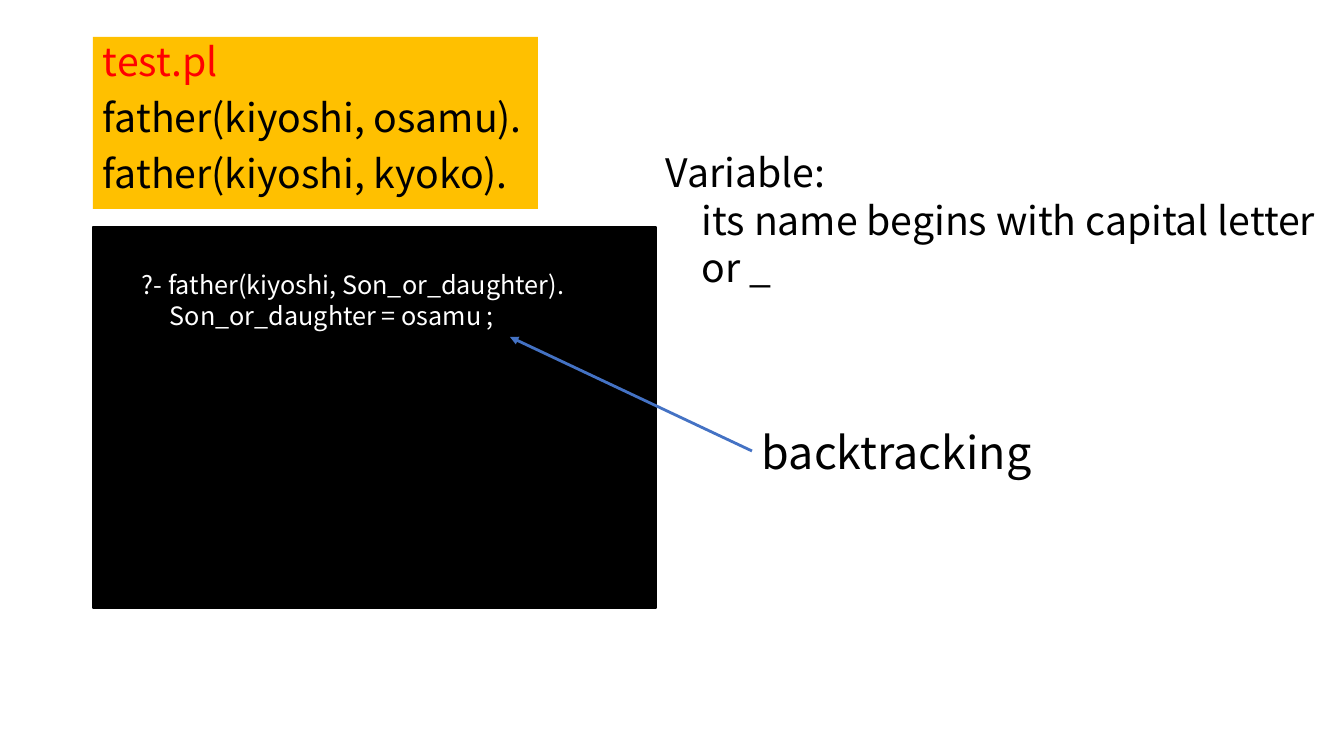
from lxml import etree
from pptx import Presentation
from pptx.dml.color import RGBColor
from pptx.enum.shapes import MSO_CONNECTOR, MSO_SHAPE
from pptx.enum.text import MSO_ANCHOR, PP_ALIGN
from pptx.oxml.ns import qn
from pptx.util import Emu, Pt

PX = 914400 / 100.8
FONT = "Noto Sans CJK JP"
COLORS = {
    "black": "000000",
    "white": "FFFFFF",
    "red": "FF0000",
    "amber": "FFC000",
    "blue": "4472C4",
}


def px(n):
    return Emu(round(n * PX))


def rgb(name):
    return RGBColor.from_string(COLORS[name])


class SlideBuilder:
    def __init__(self, slide):
        self.slide = slide

    def rect(self, x, y, w, h, fill):
        sp = self.slide.shapes.add_shape(
            MSO_SHAPE.RECTANGLE, px(x), px(y), px(w), px(h))
        sp.shadow.inherit = False
        sp.fill.solid()
        sp.fill.fore_color.rgb = rgb(fill)
        sp.line.fill.background()
        return sp

    def set_lines(self, sp, lines, size, spacing, before=0):
        """Each line is (text, colour, indent in px)."""
        tf = sp.text_frame
        tf.word_wrap = True
        tf.vertical_anchor = MSO_ANCHOR.TOP
        for i, (text, color, indent) in enumerate(lines):
            p = tf.paragraphs[0] if i == 0 else tf.add_paragraph()
            p.text = text
            p.alignment = PP_ALIGN.LEFT
            p.line_spacing = Pt(spacing)
            p.space_before = Pt(before)
            p.font.name = FONT
            p.font.size = Pt(size)
            p.font.color.rgb = rgb(color)
            if indent:
                p._p.get_or_add_pPr().set("marL", str(px(indent)))

    def text(self, x, y, w, h, lines, size, spacing):
        sp = self.slide.shapes.add_textbox(px(x), px(y), px(w), px(h))
        self.set_lines(sp, lines, size, spacing)
        return sp

    def arrow(self, source, side, x, y, color):
        cx = self.slide.shapes.add_connector(
            MSO_CONNECTOR.STRAIGHT, 0, 0, px(x), px(y))
        cx.begin_connect(source, side)
        cx.line.color.rgb = rgb(color)
        cx.line.width = Pt(2)
        etree.SubElement(cx.line._get_or_add_ln(), qn("a:tailEnd"), type="triangle")
        etree.SubElement(cx._element.spPr, qn("a:effectLst"))
        return cx


def main():
    prs = Presentation()
    prs.slide_width, prs.slide_height = px(1344), px(756)
    s = SlideBuilder(prs.slides.add_slide(prs.slide_layouts[6]))

    # Program file
    program = s.rect(93, 37, 445, 172, "amber")
    s.set_lines(program, [
        ("test.pl", "red", 0),
        ("father(kiyoshi, osamu).", "black", 0),
        ("father(kiyoshi, kyoko).", "black", 0),
    ], size=28, spacing=30, before=10)

    # Terminal with the query
    terminal = s.rect(93, 227, 563, 381, "black")
    terminal.line.color.rgb = rgb("black")
    terminal.line.width = Pt(1)
    s.text(132, 264, 485, 102, [
        ("?- father(kiyoshi, Son_or_daughter).", "white", 0),
        ("Son_or_daughter = osamu ;", "white", 28),
    ], size=18, spacing=22)

    # Note on variables
    s.text(656, 143, 687, 152, [
        ("Variable:", "black", 0),
        ("its name begins with capital letter", "black", 36),
        ("or _", "black", 36),
    ], size=28, spacing=34)

    # Backtracking label and its arrow
    label = s.text(752, 419, 297, 64, [("backtracking", "black", 0)],
                   size=32, spacing=39)
    s.arrow(label, 1, 510, 337, "blue")

    prs.save("out.pptx")


if __name__ == "__main__":
    main()
